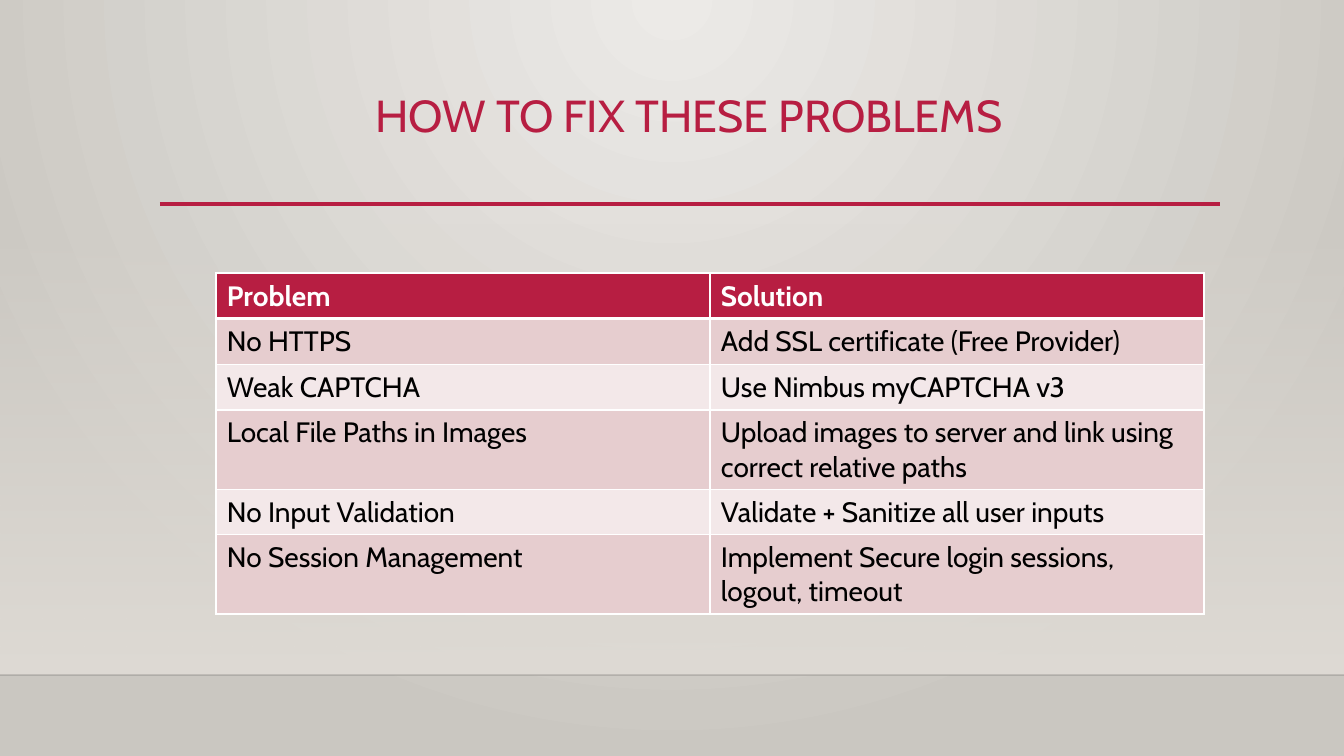
from dataclasses import dataclass

import pptx
import pptx.dml.color
import pptx.enum.shapes
import pptx.enum.text
import pptx.oxml
import pptx.oxml.ns
import pptx.util

EMU_PER_INCH = 914400
PX_PER_INCH = 100.8


@dataclass(frozen=True)
class Theme:
    font: str = "Cabin"
    accent: str = "B71E42"
    white: str = "FFFFFF"
    black: str = "000000"
    glow: str = "ECEAE7"
    edge: str = "CAC7C1"
    wall: str = "DFDBD5"
    band_dark: str = "E6CDCF"
    band_light: str = "F3E8E9"
    title_size: int = 32
    table_size: int = 20


@dataclass(frozen=True)
class Rule:
    left: int
    right: int
    y: int
    color: str
    weight: float
    opacity: int = 100


@dataclass(frozen=True)
class Fix:
    problem: str
    solution: str
    height: int


@dataclass(frozen=True)
class Stop:
    position: int
    color: str
    opacity: int = 100


THEME = Theme()
RULES = [
    Rule(0, 1344, 675, THEME.black, 1, 20),
    Rule(160, 1220, 204, THEME.accent, 2.5),
]
FIXES = [
    Fix("Problem", "Solution", 45),
    Fix("No HTTPS", "Add SSL certificate (Free Provider)", 45),
    Fix("Weak CAPTCHA", "Use Nimbus myCAPTCHA v3", 45),
    Fix("Local File Paths in Images",
        "Upload images to server and link using correct relative paths", 78),
    Fix("No Input Validation", "Validate + Sanitize all user inputs", 45),
    Fix("No Session Management",
        "Implement Secure login sessions, logout, timeout", 78),
]


def px(n: int) -> pptx.util.Emu:
    return pptx.util.Emu(round(n * EMU_PER_INCH / PX_PER_INCH))


def rgb(color: str) -> pptx.dml.color.RGBColor:
    return pptx.dml.color.RGBColor.from_string(color)


def element(xml: str):
    tag, rest = xml.split(" ", 1)
    return pptx.oxml.parse_xml(f"{tag} {pptx.oxml.ns.nsdecls('a')} {rest}")


def gradient(stops: list[Stop], direction: str):
    items = "".join(
        f'<a:gs pos="{s.position * 1000}"><a:srgbClr val="{s.color}">'
        f'<a:alpha val="{s.opacity * 1000}"/></a:srgbClr></a:gs>'
        for s in stops
    )
    return element(f'<a:gradFill rotWithShape="1"><a:gsLst>{items}</a:gsLst>'
                   f'{direction}</a:gradFill>')


def replace_gradient(fill: pptx.dml.fill.FillFormat, parent, new) -> None:
    fill.gradient()
    old = parent.find(pptx.oxml.ns.qn("a:gradFill"))
    parent.replace(old, new)


def set_font(p, size: int, color: str, bold: bool = False) -> None:
    p.font.name = THEME.font
    p.font.size = pptx.util.Pt(size)
    p.font.bold = bold
    p.font.color.rgb = rgb(color)


def draw_background(s) -> None:
    fill = s.background.fill
    bg_pr = s.element.cSld.bg.bgPr
    circle = ('<a:path path="circle"><a:fillToRect l="43000" t="0" '
              'r="43000" b="100000"/></a:path>')
    replace_gradient(fill, bg_pr, gradient(
        [Stop(0, THEME.glow), Stop(100, THEME.edge)], circle))


def draw_wall(s) -> None:
    sp = s.shapes.add_shape(pptx.enum.shapes.MSO_SHAPE.RECTANGLE,
                            px(0), px(223), px(1344), px(452))
    sp.shadow.inherit = False
    sp.line.fill.background()
    replace_gradient(sp.fill, sp.element.spPr, gradient(
        [Stop(0, THEME.wall, 0), Stop(100, THEME.wall)],
        '<a:lin ang="5400000" scaled="0"/>'))


def draw_rule(s, rule: Rule) -> None:
    cxn = s.shapes.add_connector(pptx.enum.shapes.MSO_CONNECTOR.STRAIGHT,
                                 px(rule.left), px(rule.y),
                                 px(rule.right), px(rule.y))
    cxn.line.width = pptx.util.Pt(rule.weight)
    cxn.line.color.rgb = rgb(rule.color)
    color = cxn.element.spPr.find(".//" + pptx.oxml.ns.qn("a:srgbClr"))
    color.append(element(f'<a:alpha val="{rule.opacity * 1000}"/>'))
    cxn.element.spPr.append(element("<a:effectLst />"))


def draw_title(s, text: str) -> None:
    tf = s.shapes.add_textbox(px(160), px(89), px(1058), px(116)).text_frame
    tf.word_wrap = True
    tf.vertical_anchor = pptx.enum.text.MSO_ANCHOR.TOP
    p = tf.paragraphs[0]
    p.text = text
    p.alignment = pptx.enum.text.PP_ALIGN.CENTER
    p.line_spacing = 0.9
    set_font(p, THEME.title_size, THEME.accent)


def draw_cell(cell, text: str, row: int) -> None:
    header = row == 0
    weights = {"L": 1, "R": 1, "T": 3 if row == 1 else 1, "B": 3 if header else 1}
    tc_pr = cell._tc.get_or_add_tcPr()
    for side, weight in weights.items():
        tc_pr.append(element(
            f'<a:ln{side} w="{pptx.util.Pt(weight)}"><a:solidFill>'
            f'<a:srgbClr val="{THEME.white}"/></a:solidFill></a:ln{side}>'))
    band = THEME.band_dark if row % 2 else THEME.band_light
    cell.fill.solid()
    cell.fill.fore_color.rgb = rgb(THEME.accent if header else band)
    cell.margin_left = cell.margin_right = px(11)
    cell.margin_top = cell.margin_bottom = px(6)
    p = cell.text_frame.paragraphs[0]
    p.text = text
    set_font(p, THEME.table_size, THEME.white if header else THEME.black, header)


def draw_table(s, fixes: list[Fix]) -> None:
    height = sum(fix.height for fix in fixes)
    table = s.shapes.add_table(len(fixes), 2, px(216), px(273),
                               px(988), px(height)).table
    table.horz_banding = False
    for row, fix in enumerate(fixes):
        table.rows[row].height = px(fix.height)
        for col, text in enumerate((fix.problem, fix.solution)):
            draw_cell(table.cell(row, col), text, row)


def main() -> None:
    prs = pptx.Presentation()
    prs.slide_width, prs.slide_height = px(1344), px(756)
    s = prs.slides.add_slide(prs.slide_layouts[6])
    draw_background(s)
    draw_wall(s)
    for rule in RULES:
        draw_rule(s, rule)
    draw_title(s, "HOW TO FIX THESE PROBLEMS")
    draw_table(s, FIXES)
    prs.save("out.pptx")


if __name__ == "__main__":
    main()
